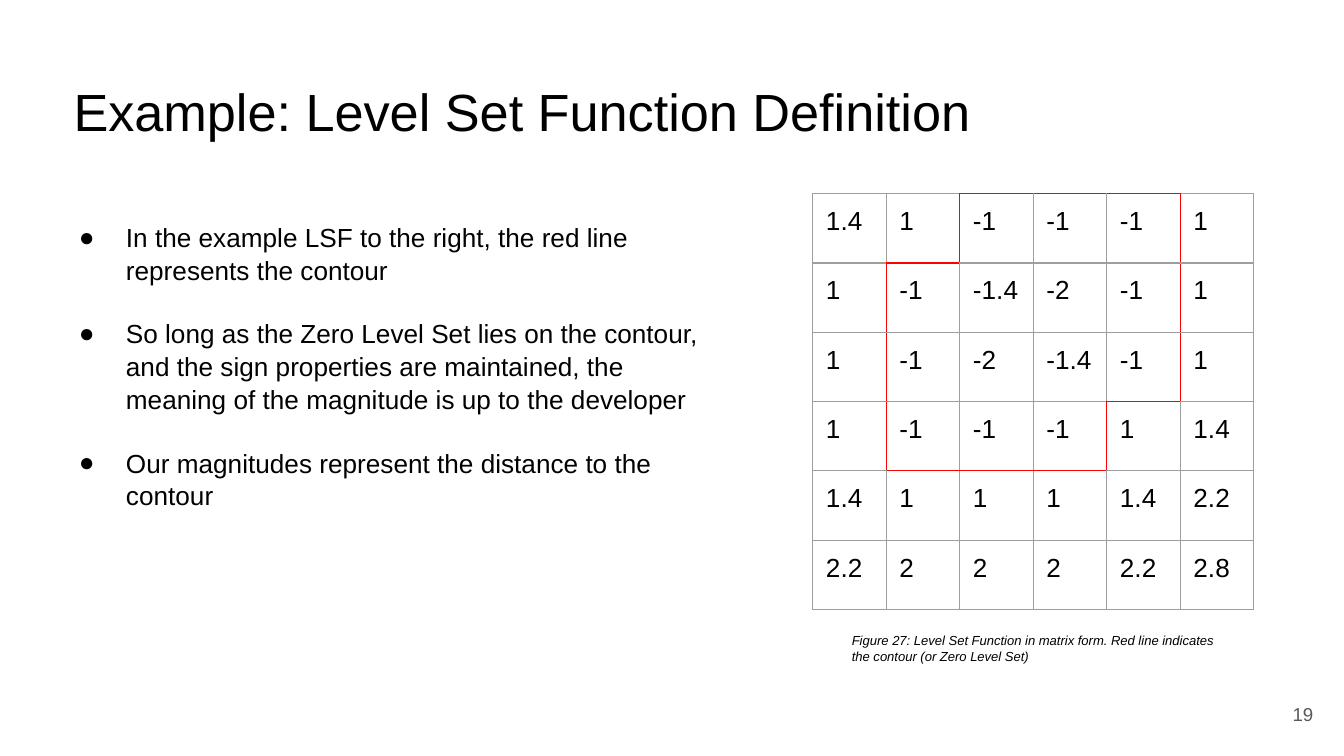
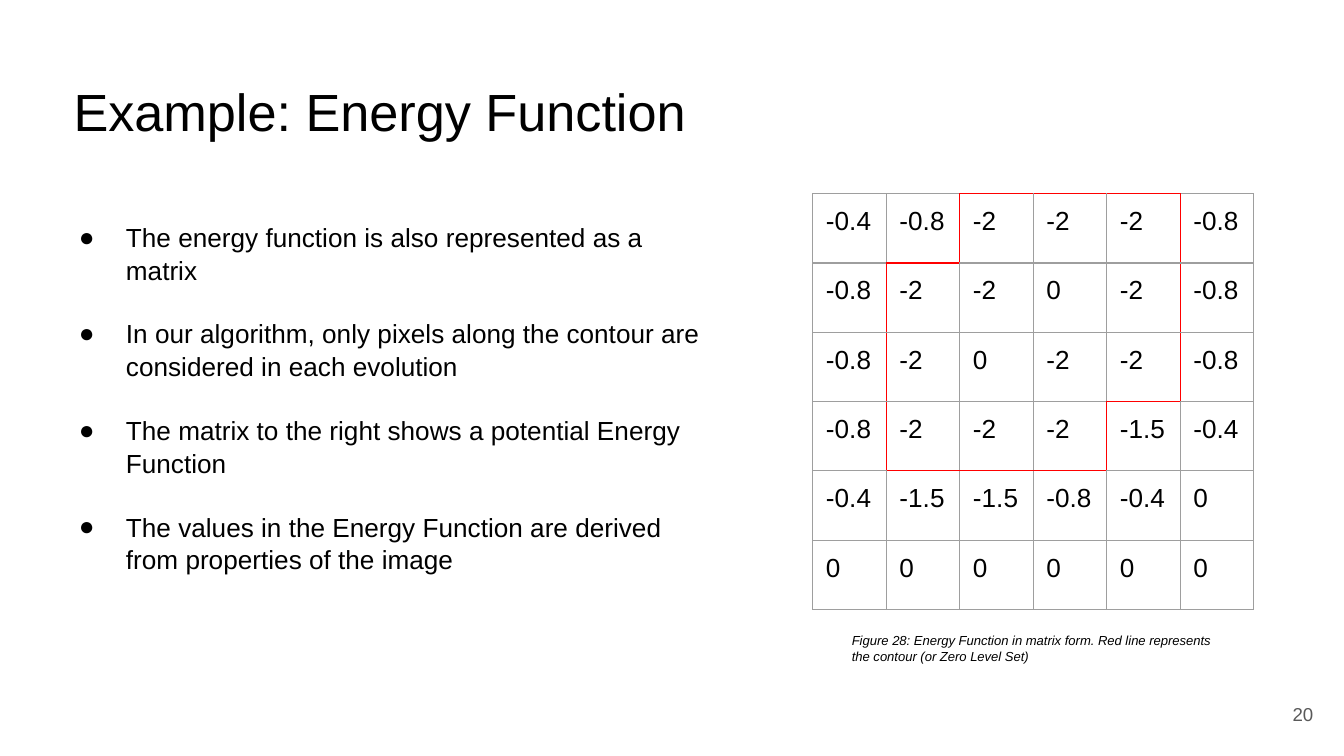
from lxml.etree import SubElement as Sub
from pptx import Presentation
from pptx.dml.color import RGBColor as Rgb
from pptx.enum.text import MSO_ANCHOR as Anchor, MSO_AUTO_SIZE as Auto, PP_ALIGN as Align
from pptx.oxml.ns import qn
from pptx.util import Cm, Pt

FONT = "Arial"
INK = {"text": "000000", "page": "595959", "grid": "9E9E9E", "edge": "FF0000"}
PAD = 0.25
COL, ROW = 1.39, 1.31
INSIDE = ["..###.", ".####.", ".####.", ".###..", "......", "......"]
SIDES = {"a:lnL": (0, -1), "a:lnR": (0, 1), "a:lnT": (-1, 0), "a:lnB": (1, 0)}

PAGES = [
    dict(
        page="19",
        title="Example: Level Set Function Definition",
        points=[
            "In the example LSF to the right, the red line represents the contour",
            "So long as the Zero Level Set lies on the contour, and the sign properties "
            "are maintained, the meaning of the magnitude is up to the developer",
            "Our magnitudes represent the distance to the contour",
        ],
        grid=[
            "1.4 1 -1 -1 -1 1",
            "1 -1 -1.4 -2 -1 1",
            "1 -1 -2 -1.4 -1 1",
            "1 -1 -1 -1 1 1.4",
            "1.4 1 1 1 1.4 2.2",
            "2.2 2 2 2 2.2 2.8",
        ],
        note="Figure 27: Level Set Function in matrix form. "
             "Red line indicates the contour (or Zero Level Set)",
    ),
    dict(
        page="20",
        title="Example: Energy Function",
        points=[
            "The energy function is also represented as a matrix",
            "In our algorithm, only pixels along the contour are considered in each evolution",
            "The matrix to the right shows a potential Energy Function",
            "The values in the Energy Function are derived from properties of the image",
        ],
        grid=[
            "-0.4 -0.8 -2 -2 -2 -0.8",
            "-0.8 -2 -2 0 -2 -0.8",
            "-0.8 -2 0 -2 -2 -0.8",
            "-0.8 -2 -2 -2 -1.5 -0.4",
            "-0.4 -1.5 -1.5 -0.8 -0.4 0",
            "0 0 0 0 0 0",
        ],
        note="Figure 28: Energy Function in matrix form. "
             "Red line represents the contour (or Zero Level Set)",
    ),
]


def write(para, text, size=14, ink="text", slant=False, align=Align.LEFT, lead=1.0, gap=0):
    para.alignment = align
    para.line_spacing = lead
    para.space_before = Pt(gap)
    run = para.add_run()
    run.text = text
    font = run.font
    font.name, font.size, font.italic = FONT, Pt(size), slant
    font.color.rgb = Rgb.from_string(INK[ink])


def place(shape, left, top, width, height, anchor=Anchor.TOP, inset=PAD):
    shape.left, shape.top = Cm(left), Cm(top)
    shape.width, shape.height = Cm(width), Cm(height)
    frame = shape.text_frame
    frame.word_wrap = True
    frame.auto_size = Auto.NONE
    frame.vertical_anchor = anchor
    frame.margin_left = Cm(inset)
    frame.margin_right = frame.margin_top = frame.margin_bottom = Cm(PAD)
    return frame


def label(slide, text, spot, anchor=Anchor.TOP, **style):
    box = slide.shapes.add_textbox(0, 0, 0, 0)
    write(place(box, *spot, anchor=anchor).paragraphs[0], text, **style)


def bullet(para):
    props = para._p.get_or_add_pPr()
    props.set("marL", str(Cm(1.27)))
    props.set("indent", str(Cm(-0.89)))
    Sub(Sub(props, qn("a:buClr")), qn("a:srgbClr"), val=INK["text"])
    Sub(props, qn("a:buChar"), char="●")


def list_points(shape, points):
    frame = place(shape, 0.86, 3.91, 12.85, 8.86)
    for num, point in enumerate(points):
        para = frame.add_paragraph() if num else frame.paragraphs[0]
        bullet(para)
        write(para, point, lead=1.04, gap=16.8 if num else 0)


def within(row, col):
    return 0 <= row < len(INSIDE) and 0 <= col < len(INSIDE[0]) and INSIDE[row][col] == "#"


def border(cell, row, col):
    props = cell._tc.get_or_add_tcPr()
    for tag, (down, right) in SIDES.items():
        split = within(row, col) != within(row + down, col + right)
        line = Sub(props, qn(tag), w=str(Pt(0.75)))
        fill = Sub(line, qn("a:solidFill"))
        Sub(fill, qn("a:srgbClr"), val=INK["edge" if split else "grid"])


def matrix(slide, grid):
    rows = [line.split() for line in grid]
    high, wide = len(rows), len(rows[0])
    table = slide.shapes.add_table(
        high, wide, Cm(15.36), Cm(3.66), Cm(COL * wide), Cm(ROW * high)).table
    table.first_row = table.horz_banding = False
    for part in table.columns:
        part.width = Cm(COL)
    for part in table.rows:
        part.height = Cm(ROW)
    for row, vals in enumerate(rows):
        for col, val in enumerate(vals):
            cell = table.cell(row, col)
            cell.margin_left = cell.margin_right = Cm(PAD)
            cell.margin_top = cell.margin_bottom = Cm(PAD)
            write(cell.text_frame.paragraphs[0], val)
            border(cell, row, col)
            cell.fill.background()


def build(deck, page, title, points, grid, note):
    slide = deck.slides.add_slide(deck.slide_layouts[1])
    head = place(slide.shapes.title, 0.86, 1.24, 23.67, 1.6, inset=0.53)
    write(head.paragraphs[0], title, size=28)
    label(slide, page, (23.55, 12.95, 1.52, 1.09), anchor=Anchor.MIDDLE,
          size=10, ink="page", align=Align.RIGHT)
    matrix(slide, grid)
    list_points(slide.placeholders[1], points)
    label(slide, note, (15.85, 11.71, 7.37, 0.99), size=7, slant=True)


def main():
    deck = Presentation()
    deck.slide_width, deck.slide_height = Cm(25.4), Cm(14.29)
    for page in PAGES:
        build(deck, **page)
    deck.save("out.pptx")


if __name__ == "__main__":
    main()
